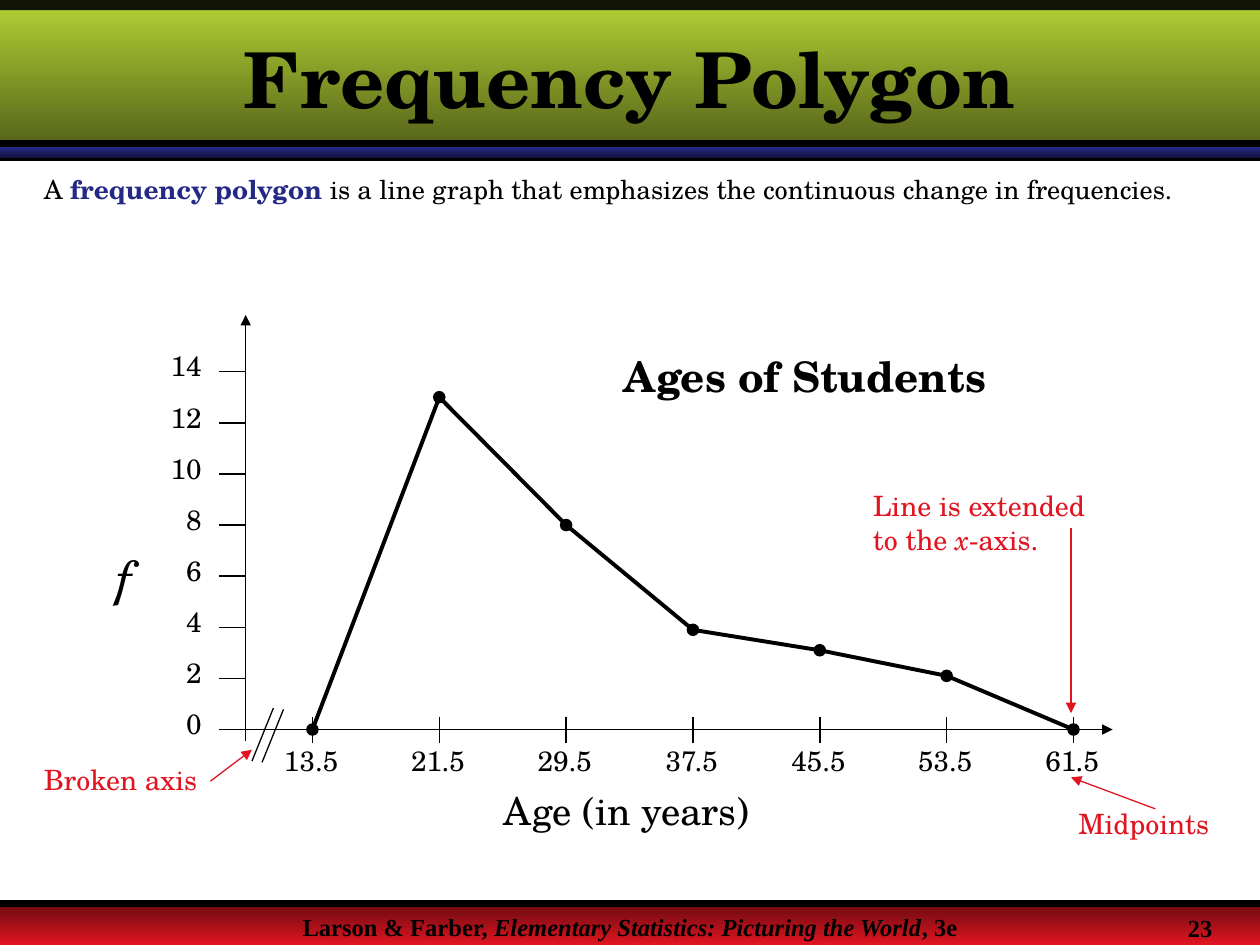
from lxml import etree
from pptx import Presentation
from pptx.dml.color import RGBColor
from pptx.enum.shapes import MSO_CONNECTOR, MSO_SHAPE
from pptx.enum.text import MSO_ANCHOR, PP_ALIGN
from pptx.oxml.ns import qn
from pptx.util import Inches, Pt

RECT, OVAL, STRAIGHT = MSO_SHAPE.RECTANGLE, MSO_SHAPE.OVAL, MSO_CONNECTOR.STRAIGHT
LEFT, CENTER, RIGHT = PP_ALIGN.LEFT, PP_ALIGN.CENTER, PP_ALIGN.RIGHT
TOP, MIDDLE = MSO_ANCHOR.TOP, MSO_ANCHOR.MIDDLE
SERIF, SCHOLA = "Times New Roman", "TeX Gyre Schola"
COLORS = {"black": "000000", "red": "E11521", "dark_red": "680A0F", "blue": "242985",
          "dark_blue": "11133E", "green": "B5D335", "dark_green": "546219"}

BANDS = [(7.17, 0.33, "dark_red", "red"), (1.17, 0.08, "blue", "dark_blue"),
         (0, 1.17, "green", "dark_green")]
RULE_BEHIND_BANDS = 1.25
RULES = [7.17, 1.14]

FOOTER = {"size": 14, "name": SERIF, "bold": True}
RED = {"size": 16, "color": "red"}
TEXTS = [
    ((0, 7.19, 10, 0.2), [("Larson & Farber, ", {}),
                          ("Elementary Statistics: Picturing the World", {"italic": True}),
                          (", 3e", {})], FOOTER, CENTER, TOP),
    ((9.33, 7.2, 0.6, 0.3), [("23", {})], FOOTER, LEFT, TOP),
    ((0, 0.08, 10, 1.08), [("Frequency Polygon", {})], {"size": 44, "bold": True}, CENTER, MIDDLE),
    ((0.25, 1.33, 9.5, 0.5), [
        ("A ", {}), ("frequency polygon", {"color": "blue", "bold": True}),
        (" is a line graph that emphasizes the continuous change in frequencies.", {})],
     {"size": 15}, LEFT, TOP),
    ((4.85, 2.73, 3.48, 0.5), [("Ages of Students", {})], {"size": 24, "bold": True}, LEFT, TOP),
    ((3.9, 6.2, 2.15, 0.47), [("Age (in years)", {})], {"size": 22}, LEFT, TOP),
    ((0.83, 4.3, 0.5, 0.57), [("f", {})], {"size": 28, "italic": True}, LEFT, TOP),
    ((0.25, 6, 1.67, 0.37), [("Broken axis", {})], RED, LEFT, TOP),
    ((8.46, 6.35, 1.24, 0.37), [("Midpoints", {})], RED, LEFT, TOP),
    ((6.83, 3.83, 2.03, 0.64), [("Line is extended to the ", {}), ("x", {"italic": True}),
                                ("-", {"name": SERIF}), ("axis.", {})], RED, LEFT, TOP),
]

CALLOUT_ARROWS = [(1.67, 6.2, 2, 5.95), (9.17, 6.42, 8.5, 6.17), (8.5, 4.19, 8.5, 5.66)]
AXIS_ARROWS = [(1.95, 5.88, 1.95, 2.5), (1.88, 5.79, 8.83, 5.79)]
BREAK_MARKS = [(2.17, 5.62, 2, 6.04), (2.25, 5.63, 2.08, 6.05)]

MIDPOINTS = [13.5, 21.5, 29.5, 37.5, 45.5, 53.5, 61.5]
FREQUENCIES = [0, 13, 8, 3.9, 3.1, 2.1, 0]
Y_TICKS = range(0, 15, 2)
AXIS_X, AXIS_Y, TOP_TICK_Y = 1.95, 5.79, 2.95
FIRST_X, LAST_X = 2.48, 8.52
CLASS_GAP = (LAST_X - FIRST_X) / (len(MIDPOINTS) - 1)
UNIT_Y = (AXIS_Y - TOP_TICK_Y) / Y_TICKS[-1]
DOT = 0.1

prs = Presentation()
prs.slide_width, prs.slide_height = Inches(10), Inches(7.5)
slide = prs.slides.add_slide(prs.slide_layouts[6])


def rgb(name):
    return RGBColor.from_string(COLORS[name])


def add_shape(kind, box):
    s = slide.shapes.add_shape(kind, *map(Inches, box))
    s.shadow.inherit = False
    s.line.fill.background()
    return s


def add_solid(kind, box, color):
    s = add_shape(kind, box)
    s.fill.solid()
    s.fill.fore_color.rgb = rgb(color)
    return s


def add_band(top, height, start, end):
    s = add_shape(RECT, (0, top, 10, height))
    s.fill.gradient()
    s.fill.gradient_angle = 270
    for stop, color in zip(s.fill.gradient_stops, (start, end)):
        stop.color.rgb = rgb(color)


def add_line(ends, width, color="black", arrow=False):
    c = slide.shapes.add_connector(STRAIGHT, *map(Inches, ends))
    c.line.color.rgb = rgb(color)
    c.line.width = Pt(width)
    if arrow:
        etree.SubElement(c.line._get_or_add_ln(), qn("a:tailEnd"), type="triangle")
    etree.SubElement(c._element.spPr, qn("a:effectLst"))


def add_rule(y):
    add_line((0, y, 10, y), 4)


def add_text(box, runs, style, align=LEFT, anchor=TOP, inset=(0.1, 0.05)):
    tf = slide.shapes.add_textbox(*map(Inches, box)).text_frame
    tf.word_wrap, tf.vertical_anchor = True, anchor
    tf.margin_left = tf.margin_right = Inches(inset[0])
    tf.margin_top = tf.margin_bottom = Inches(inset[1])
    p = tf.paragraphs[0]
    p.alignment = align
    for text, extra in runs:
        r = p.add_run()
        r.text = text
        values = {"name": SCHOLA, "color": "black", **style, **extra}
        r.font.color.rgb = rgb(values.pop("color"))
        values["size"] = Pt(values["size"])
        for key, value in values.items():
            setattr(r.font, key, value)


def add_tick_label(box, value, align):
    add_text(box, [(str(value), {})], {"size": 16}, align, inset=(0, 0))


add_rule(RULE_BEHIND_BANDS)
for band in BANDS:
    add_band(*band)
top_bar = add_solid(RECT, (0, 0, 10, 0.08), "black")
fill_color = top_bar._element.spPr.find(qn("a:solidFill"))[0]
etree.SubElement(fill_color, qn("a:alpha"), val="90000")
for y in RULES:
    add_rule(y)

for ends in AXIS_ARROWS:
    add_line(ends, 0.88, arrow=True)
for ends in BREAK_MARKS:
    add_line(ends, 0.75)
for value in Y_TICKS:
    y = AXIS_Y - value * UNIT_Y
    add_line((AXIS_X - 0.21, y, AXIS_X, y), 0.88)
    add_tick_label((1.2, y - 0.18, 0.4, 0.27), value, RIGHT)

points = [(FIRST_X + i * CLASS_GAP, AXIS_Y - f * UNIT_Y) for i, f in enumerate(FREQUENCIES)]
for midpoint, (x, y) in zip(MIDPOINTS, points):
    add_line((x, AXIS_Y + 0.11, x, AXIS_Y - 0.1), 0.88)
    add_tick_label((x - 0.36, 5.9, 0.7, 0.27), midpoint, CENTER)
    add_solid(OVAL, (x - DOT / 2, y - DOT / 2, DOT, DOT), "black")
for start, end in zip(points, points[1:]):
    add_line((*start, *end), 2.25)

for text in TEXTS:
    add_text(*text)
for ends in CALLOUT_ARROWS:
    add_line(ends, 0.75, "red", arrow=True)

prs.save("out.pptx")
